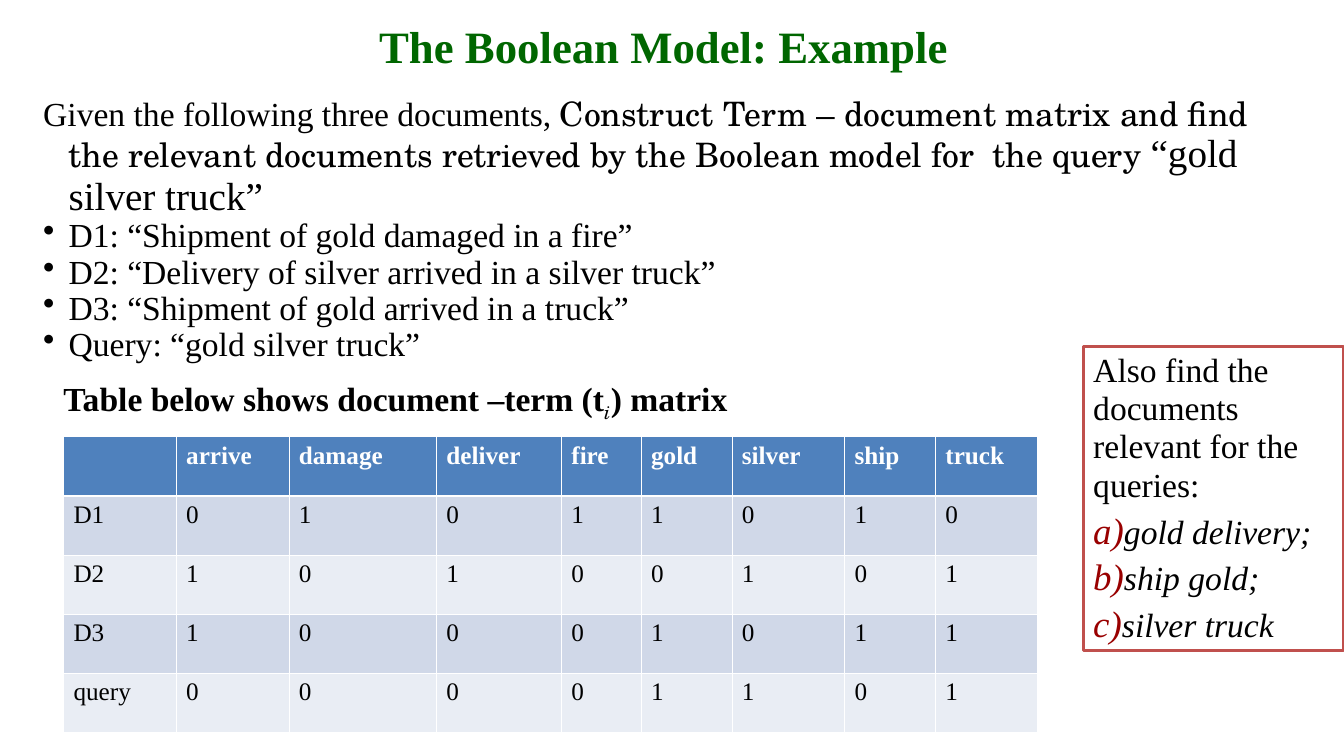
from lxml.etree import SubElement as Sub
from pptx import Presentation as Deck
from pptx.dml.color import RGBColor as RGB
from pptx.enum.shapes import MSO_SHAPE as Shape
from pptx.enum.text import MSO_ANCHOR as Anchor, MSO_AUTO_SIZE as Auto, PP_ALIGN as Align
from pptx.oxml.ns import qn
from pptx.util import Cm, Pt

TIMES = "Times New Roman"
SERIF = "TeX Gyre Schola"
DOCS = [
    "D1: “Shipment of gold damaged in a fire”",
    "D2: “Delivery of silver arrived in a silver truck”",
    "D3: “Shipment of gold arrived in a truck”",
    "Query: “gold silver truck”",
]
TERMS = ["", "arrive", "damage", "deliver", "fire", "gold", "silver", "ship", "truck"]
ROWS = {"D1": "01011010", "D2": "10100101", "D3": "10001011", "query": "00001101"}
WIDTHS = [2.84, 2.84, 3.72, 3.15, 2.01, 2.29, 2.84, 2.29, 2.58]
TASKS = ["gold delivery;", "ship gold;", "silver truck"]


def color(code):
    """Turn a hex string into a colour."""
    return RGB.from_string(code)


def style(font, size=24, code="000000", name=TIMES, bold=False, italic=False):
    """Set every property of a font."""
    font.size, font.name, font.bold, font.italic = Pt(size), name, bold, italic
    font.color.rgb = color(code)


def add_run(para, text, **look):
    """Add a run with its own font."""
    run = para.add_run()
    run.text = text
    style(run.font, **look)
    return run


def add_para(frame, text="", space=0.9, before=0, **look):
    """Add a paragraph, filling the first one if it is empty."""
    first = frame.paragraphs[0]
    para = frame.add_paragraph() if first.runs else first
    para.line_spacing, para.space_before = space, Pt(before)
    if text:
        para.text = text
        style(para.font, **look)
    return para


def indent(para, left, first=0.0):
    """Set the left margin and the first-line indent."""
    props = para._p.get_or_add_pPr()
    props.set("marL", str(Cm(left)))
    props.set("indent", str(Cm(first)))
    return props


def bullet(props, code, tag, size=100, **kind):
    """Add a bullet or a number to paragraph properties."""
    Sub(Sub(props, qn("a:buClr")), qn("a:srgbClr"), val=code)
    Sub(props, qn("a:buSzPct"), val=str(size * 1000))
    Sub(props, qn(tag), **kind)


def add_title(slide):
    """Place and format the title."""
    title = slide.shapes.title
    title.left, title.top, title.width, title.height = Cm(4.45), Cm(0.18), Cm(24.56), Cm(2.13)
    frame = title.text_frame
    frame.auto_size, frame.vertical_anchor = Auto.NONE, Anchor.MIDDLE
    para = add_para(frame, "The Boolean Model: Example", size=32, code="006600", bold=True)
    para.alignment = Align.CENTER


def add_body(slide):
    """Add the task, the documents and the table heading."""
    frame = slide.shapes.add_textbox(Cm(0.84), Cm(2.34), Cm(31.75), Cm(8.31)).text_frame
    frame.word_wrap = True
    para = add_para(frame)
    indent(para, 0.64, -0.64)
    add_run(para, "Given the following three documents, ")
    add_run(para, "Construct Term – document matrix and find the relevant documents "
            "retrieved by the Boolean model for  the query ", name=SERIF)
    add_run(para, "“gold silver truck”", size=28)
    for doc in DOCS:
        props = indent(add_para(frame, doc), 0.64, -0.64)
        bullet(props, "000000", "a:buChar", char="•")
    head = add_para(frame, space=1.0, before=10)
    indent(head, 0.51)
    add_run(head, "Table below shows document –term (t", bold=True)
    sub = add_run(head, "i", name=SERIF, italic=True)
    sub.font._element.set("baseline", "-25000")
    add_run(head, ") matrix", bold=True)


def border(cell, thick=None):
    """Draw white cell borders, with one side thick if named."""
    props = cell._tc.get_or_add_tcPr()
    for spot, side in enumerate(["lnL", "lnR", "lnT", "lnB"]):
        width = Pt(1.47 if side == thick else 0.45)
        line = Sub(props, qn(f"a:{side}"), w=str(width))
        Sub(Sub(line, qn("a:solidFill")), qn("a:srgbClr"), val="FFFFFF")
        props.insert(spot, line)


def add_grid(slide):
    """Add the term matrix."""
    rows = [TERMS] + [[name, *bits] for name, bits in ROWS.items()]
    table = slide.shapes.add_table(len(rows), len(TERMS), Cm(1.6), Cm(11),
                                   Cm(sum(WIDTHS)), Cm(7.45)).table
    for col, width in zip(table.columns, WIDTHS):
        col.width = Cm(width)
    for r, row in enumerate(rows):
        table.rows[r].height = Cm(1.49)
        fill = "4F81BD" if r == 0 else ("E9EDF4", "D0D8E8")[r % 2]
        for c, text in enumerate(row):
            cell = table.cell(r, c)
            cell.fill.solid()
            cell.fill.fore_color.rgb = color(fill)
            border(cell, {0: "lnB", 1: "lnT"}.get(r))
            cell.text = text
            style(cell.text_frame.paragraphs[0].font, size=18,
                  code="000000" if r else "FFFFFF", bold=r == 0)


def add_note(slide):
    """Add the framed list of further queries."""
    box = slide.shapes.add_shape(Shape.RECTANGLE, Cm(27.31), Cm(8.74), Cm(6.55), Cm(7.65))
    box.shadow.inherit = False
    box.fill.solid()
    box.fill.fore_color.rgb = color("FFFFFF")
    box.line.color.rgb = color("C0504D")
    box.line.width = Pt(2)
    frame = box.text_frame
    frame.word_wrap, frame.vertical_anchor = True, Anchor.TOP
    para = add_para(frame, "Also find the documents relevant for the queries:", 0.95, 6)
    para.alignment = Align.LEFT
    for task in TASKS:
        para = add_para(frame, task, 0.95, 6, italic=True)
        para.alignment = Align.LEFT
        bullet(indent(para, 0), "990000", "a:buAutoNum", 110, type="alphaLcParenR")


def main():
    """Build and save the slide."""
    deck = Deck()
    deck.slide_width, deck.slide_height = Cm(33.88), Cm(19.05)
    slide = deck.slides.add_slide(deck.slide_layouts[5])
    add_body(slide)
    add_title(slide)
    add_grid(slide)
    add_note(slide)
    deck.save("out.pptx")


if __name__ == "__main__":
    main()
